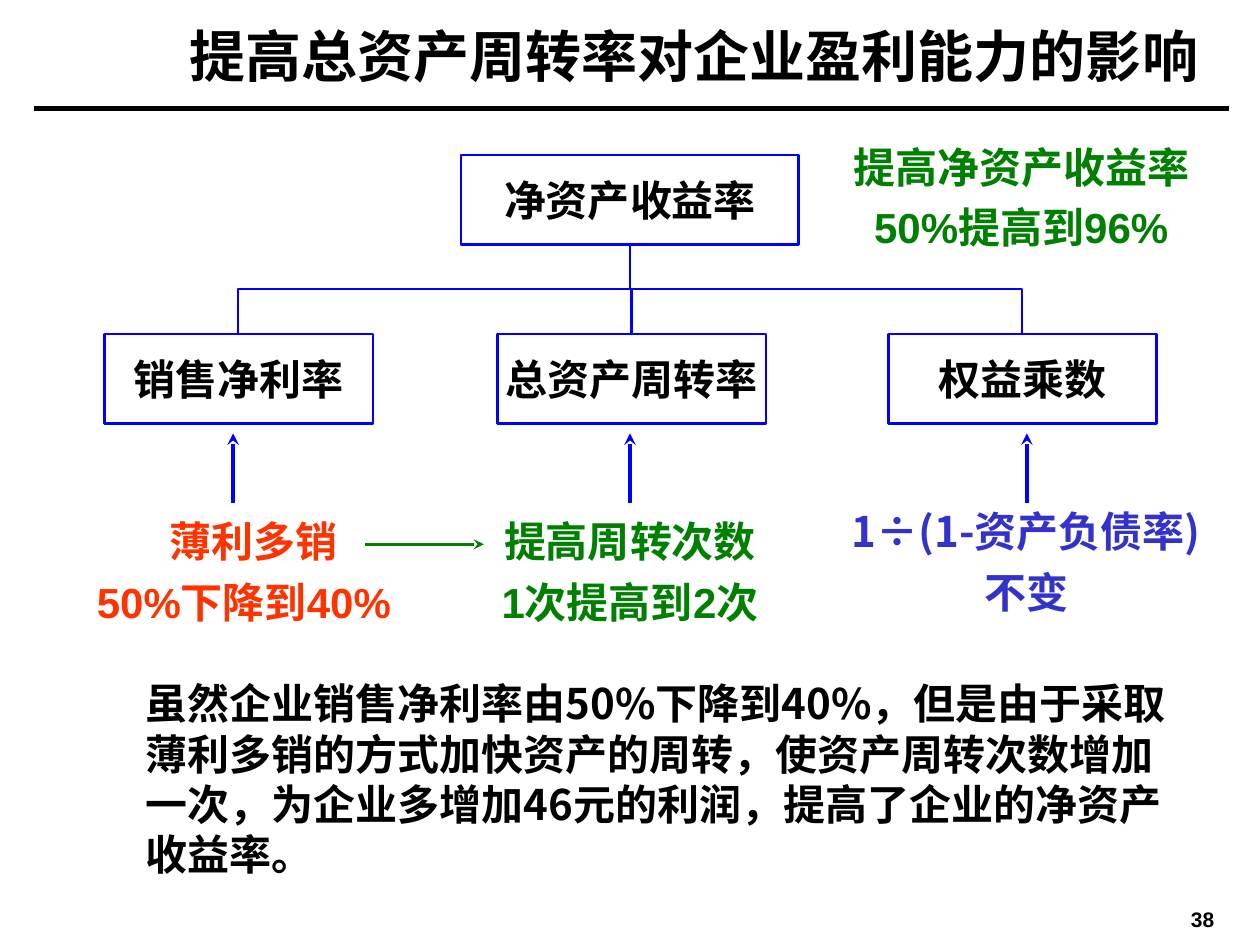
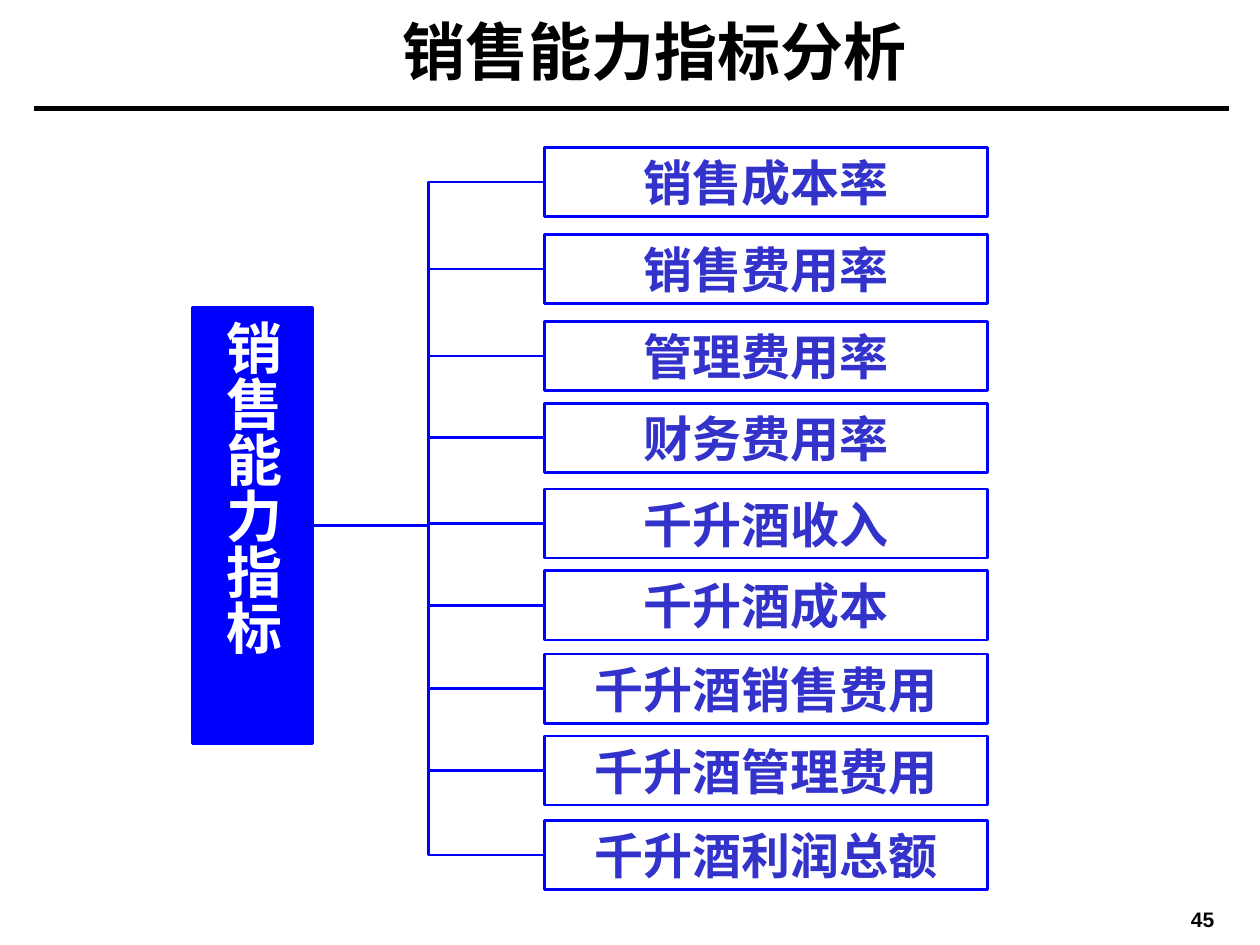
import pptx
import pptx.util
import pptx.dml.color
import pptx.enum.shapes
import pptx.enum.text
import pptx.oxml
import pptx.oxml.ns
from lxml import etree

Inches = pptx.util.Inches
Pt = pptx.util.Pt
RGB = pptx.dml.color.RGBColor
ALIGN = pptx.enum.text.PP_ALIGN
ANCHOR = pptx.enum.text.MSO_ANCHOR
LINK = pptx.enum.shapes.MSO_CONNECTOR
qn = pptx.oxml.ns.qn

BLACK = RGB(0x00, 0x00, 0x00)
WHITE = RGB(0xFF, 0xFF, 0xFF)
BLUE = RGB(0x00, 0x00, 0xFF)
INDIGO = RGB(0x33, 0x33, 0xCC)
GREEN = RGB(0x00, 0x80, 0x00)
RED = RGB(0xFF, 0x33, 0x00)
SERIF, SANS, HAN = "Times New Roman", "Arial", "Noto Sans CJK SC"


def write(frame, lines, size, color, face, aligns=None, gap=0):
    """Fill a text frame with bold paragraphs."""
    for i, line in enumerate(lines):
        para = frame.paragraphs[0] if i == 0 else frame.add_paragraph()
        para.text = line
        para.alignment = aligns[i] if aligns else ALIGN.CENTER
        para.space_before = Pt(gap)
        para.line_spacing = Pt(size * 1.2)
        font = para.font
        font.size, font.bold, font.name = Pt(size), True, face
        font.color.rgb = color
        latin = para._p.pPr.find(qn("a:defRPr")).find(qn("a:latin"))
        east = etree.Element(qn("a:ea"), typeface=HAN)
        latin.addnext(east)


def label(slide, box, lines, size=24, color=BLACK, face=SANS, **opts):
    shape = slide.shapes.add_textbox(*map(Inches, box))
    shape.text_frame.word_wrap = True
    write(shape.text_frame, lines, size, color, face, **opts)
    return shape


def block(slide, box, text, size, color, fill=None):
    kind = pptx.enum.shapes.MSO_SHAPE.RECTANGLE
    shape = slide.shapes.add_shape(kind, *map(Inches, box))
    shape.shadow.inherit = False
    if fill is None:
        shape.fill.background()
    else:
        shape.fill.solid()
        shape.fill.fore_color.rgb = fill
    shape.line.color.rgb = BLUE
    shape.line.width = Pt(1.5)
    shape.text_frame.word_wrap = False
    shape.text_frame.vertical_anchor = ANCHOR.MIDDLE
    write(shape.text_frame, [text], size, color, SERIF)
    return shape


def link(slide, start, end, color=BLUE, width=1.5, kind=LINK.STRAIGHT, head=False):
    line = slide.shapes.add_connector(kind, *map(Inches, (*start, *end)))
    line.line.color.rgb = color
    line.line.width = Pt(width)
    props = line._element.spPr
    if head:
        etree.SubElement(props.find(qn("a:ln")), qn("a:tailEnd"), type="stealth")
    etree.SubElement(props, qn("a:effectLst"))
    return line


def drop(slide, start, end):
    """Elbow that leaves downwards: a sideways elbow turned by a quarter."""
    (x1, y1), (x2, y2) = start, end
    tall, wide = y2 - y1, abs(x2 - x1)
    left, top = (x1 + x2 - tall) / 2, (y1 + y2 - wide) / 2
    ends = [left, left + tall]
    turn = 90
    if x2 > x1:
        ends.reverse()
        turn = 270
    line = link(slide, (ends[0], top), (ends[1], top + wide), kind=LINK.ELBOW)
    line._element.spPr.find(qn("a:xfrm")).set("rot", str(turn * 60000))


def base(deck, title, box, size, number):
    """Blank slide with title, rule and page number."""
    slide = deck.slides.add_slide(deck.slide_layouts[6])
    link(slide, (0.27, 0.86), (9.75, 0.86), BLACK, 3)
    label(slide, box, [title], size, face=SERIF)
    page = label(slide, (9.21, 7.21, 0.67, 0.17), [number], 12).text_frame
    page.margin_top = page.margin_bottom = 0
    page.vertical_anchor = ANCHOR.MIDDLE
    return slide


def tree(slide, box):
    """Return on equity above its three factors."""
    left, top, wide, high = box
    tall = 0.71
    row = top + high - tall
    block(slide, (left + 2.83, top, 2.68, tall), "净资产收益率", 24, BLACK)
    root = (left + 4.17, top + tall)
    for shift, name in ((0, "销售净利率"), (3.12, "总资产周转率"), (6.22, "权益乘数")):
        x = left + shift
        block(slide, (x, row, 2.13, tall), name, 24, BLACK)
        drop(slide, root, (x + 1.06, row))


def causes(slide, box):
    """Arrows up to the factors, with what changes each."""
    left, top, wide, high = box
    for i in range(3):
        x = left + 1.18 + i * 3.15
        link(slide, (x, top + 0.55), (x, top), width=2.25, head=True)
    label(slide, (left, top + 0.6, 2.68, 1.39), ["薄利多销", "50%下降到40%"],
          color=RED, aligns=[ALIGN.CENTER, ALIGN.LEFT], gap=6)
    label(slide, (left + 2.99, top + 0.6, 2.68, 0.99), ["提高周转次数", "1次提高到2次"],
          color=GREEN, gap=6)
    label(slide, (left + wide - 3.07, top + 0.52, 3.07, 1.39),
          ["1÷(1-资产负债率)", "不变"], color=INDIGO, face=HAN, gap=6)
    link(slide, (left + 2.23, top + 0.88), (left + 3.17, top + 0.88), GREEN, head=True)


def impact(deck):
    slide = base(deck, "提高总资产周转率对企业盈利能力的影响",
                 (1.14, 0.12, 8.74, 0.64), 32, "38")
    tree(slide, (0.83, 1.23, 8.35, 2.13))
    label(slide, (6.57, 1.07, 3.07, 0.99), ["提高净资产收益率", "50%提高到96%"],
          color=GREEN, gap=6)
    causes(slide, (0.67, 3.44, 9.01, 1.99))
    label(slide, (1.06, 5.33, 8.5, 1.7),
          ["虽然企业销售净利率由50%下降到40%，但是由于采取薄利多销的方式加快资产的周转，"
           "使资产周转次数增加一次，为企业多增加46元的利润，提高了企业的净资产收益率。"],
          face=HAN, aligns=[ALIGN.LEFT])


def fan(slide, box, hub, items):
    """Upright hub on the left, joined to each item on the right."""
    left, top, wide, high = box
    root = block(slide, (left, top + 1.27, 0.95, 3.46), hub, 32, WHITE, BLUE)
    root.text_frame.word_wrap = True
    root.text_frame._txBody.bodyPr.set("vert", "eaVert")
    for shift, name in items:
        item = block(slide, (left + wide - 3.52, top + shift, 3.52, 0.55), name, 28, INDIGO)
        line = link(slide, (left, top), (left + 1, top + 1), kind=LINK.ELBOW)
        line.begin_connect(root, 3)
        line.end_connect(item, 1)


def sales(deck):
    slide = base(deck, "销售能力指标分析", (1.85, 0.05, 6.69, 0.7), 36, "45")
    items = [(0, "销售成本率"), (0.69, "销售费用率"), (1.38, "管理费用率"),
             (2.03, "财务费用率"), (2.71, "千升酒收入"), (3.36, "千升酒成本"),
             (4.02, "千升酒销售费用"), (4.67, "千升酒管理费用"), (5.34, "千升酒利润总额")]
    fan(slide, (1.53, 1.17, 6.31, 5.89), "销售能力指标", items)


def main():
    deck = pptx.Presentation()
    deck.slide_width, deck.slide_height = Inches(10), Inches(7.5)
    impact(deck)
    sales(deck)
    deck.save("out.pptx")


if __name__ == "__main__":
    main()
